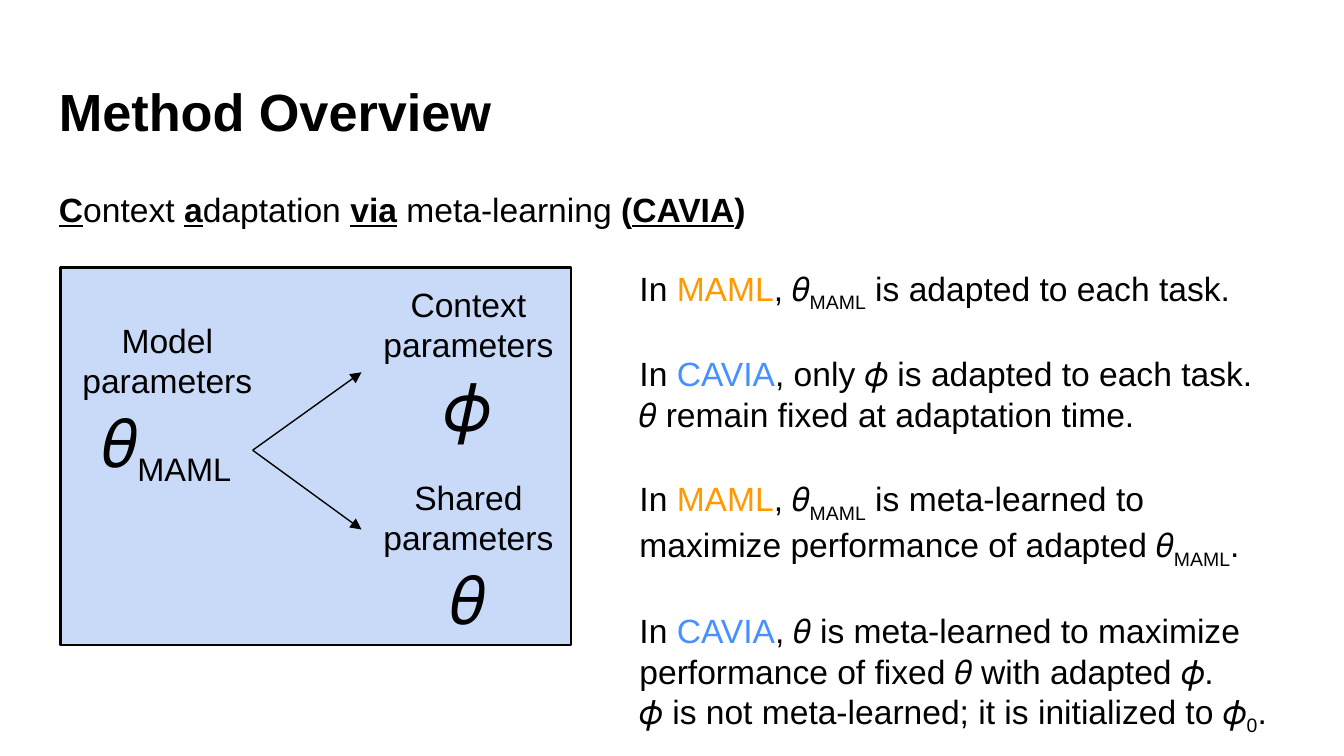
from pptx import Presentation
from pptx.dml.color import RGBColor
from pptx.enum.shapes import MSO_CONNECTOR, MSO_SHAPE
from pptx.enum.text import PP_ALIGN
from pptx.oxml.ns import qn
from pptx.util import Inches, Pt
from lxml.etree import SubElement

BLACK, PANEL_BLUE, ORANGE, BLUE = "000000", "C9DAF8", "FF9900", "4790FF"


def rgb(hex_color):
    return RGBColor.from_string(hex_color)


class SlideBuilder:
    font_name = "Arial"
    body_size = 18

    def __init__(self, slide):
        self.slide = slide

    def panel(self, left, top, width, height):
        panel = self.slide.shapes.add_shape(
            MSO_SHAPE.RECTANGLE, Inches(left), Inches(top), Inches(width), Inches(height))
        panel.shadow.inherit = False
        panel.fill.solid()
        panel.fill.fore_color.rgb = rgb(PANEL_BLUE)
        panel.line.color.rgb = rgb(BLACK)
        panel.line.width = Pt(1.5)

    def arrow(self, start, end):
        arrow = self.slide.shapes.add_connector(
            MSO_CONNECTOR.STRAIGHT, *(Inches(length) for length in start + end))
        arrow.line.color.rgb = rgb(BLACK)
        arrow.line.width = Pt(0.75)
        SubElement(arrow.line._get_or_add_ln(), qn("a:tailEnd"), type="triangle")
        SubElement(arrow._element.spPr, qn("a:effectLst"))

    def run(self, paragraph, text, size=body_size, color=BLACK, bold=False,
            underline=False, subscript=False):
        run = paragraph.add_run()
        run.text = text
        font = run.font
        font.name, font.size = self.font_name, Pt(size)
        font.bold, font.underline = bold, underline
        font.color.rgb = rgb(color)
        if subscript:
            run._r.get_or_add_rPr().set("baseline", "-25000")

    def text(self, left, top, width, height, paragraphs, align=PP_ALIGN.LEFT,
             line_spacing=None, gap_before=()):
        """Add paragraphs of (text, style) runs; gap_before lists those set apart by a line."""
        box = self.slide.shapes.add_textbox(
            Inches(left), Inches(top), Inches(width), Inches(height))
        frame = box.text_frame
        frame.word_wrap = True
        frame.margin_left = frame.margin_right = Inches(0.1)
        frame.margin_top = frame.margin_bottom = Inches(0.1)
        for index, runs in enumerate(paragraphs):
            paragraph = frame.paragraphs[0] if index == 0 else frame.add_paragraph()
            paragraph.alignment = align
            if line_spacing:
                paragraph.line_spacing = line_spacing
            if index in gap_before:
                paragraph.space_before = Pt(21.5)
            for text, style in runs:
                self.run(paragraph, text, **style)

    def parameter(self, left, top, label, symbol, subscript=()):
        runs = [(label + " parameters ", PLAIN), (symbol, {"size": 36}), *subscript]
        self.text(left, top, 1.59, 0.84, [runs], PP_ALIGN.CENTER)


PLAIN = {}
BOLD = {"bold": True}
KEY = {"bold": True, "underline": True}
SUB = {"subscript": True}
MAML = [("In ", PLAIN), ("MAML", {"color": ORANGE}), (", 𝜃", PLAIN), ("MAML", SUB)]
CAVIA = [("In ", PLAIN), ("CAVIA", {"color": BLUE})]

ADAPTATION = [
    MAML + [(" is adapted to each task.", PLAIN)],
    CAVIA + [(", only 𝜙 is adapted to each task.", PLAIN)],
    [("𝜃 remain fixed at adaptation time.", PLAIN)],
]
META_LEARNING = [
    MAML + [(" is meta-learned to maximize performance of adapted 𝜃", PLAIN),
            ("MAML", SUB), (".", PLAIN)],
    CAVIA + [(", 𝜃 is meta-learned to maximize performance of fixed 𝜃 with adapted 𝜙.", PLAIN)],
    [("𝜙 is not meta-learned; it is initialized to 𝜙", PLAIN), ("0", SUB), (".", PLAIN)],
]
FULL_NAME = [
    ("C", KEY), ("ontext ", PLAIN), ("a", KEY), ("daptation ", PLAIN), ("via", KEY),
    (" meta-learning ", PLAIN), ("(", BOLD), ("CAVIA", KEY), (")", BOLD),
]


def main():
    presentation = Presentation()
    presentation.slide_width = Inches(10)
    presentation.slide_height = Inches(10 * 9 / 16)
    builder = SlideBuilder(presentation.slides.add_slide(presentation.slide_layouts[6]))

    builder.panel(0.45, 1.99, 3.8, 2.81)
    builder.text(0.34, 0.49, 9.32, 0.63, [[("Method Overview", {"size": 28, "bold": True})]])
    builder.text(0.34, 1.26, 9.32, 3.74, [FULL_NAME], line_spacing=1.15)

    builder.parameter(0.45, 2.28, "Model", "𝜃", [("MAML", {"size": 30, "subscript": True})])
    for arrow_end in (2.77, 3.94):
        builder.arrow((1.88, 3.35), (2.69, arrow_end))
    builder.parameter(2.69, 3.45, "Shared", "𝜃")
    builder.parameter(2.69, 2.01, "Context", "𝜙")

    for top, statements in ((1.89, ADAPTATION), (3.46, META_LEARNING)):
        builder.text(4.66, top, 5, 1.2, statements, gap_before=(1,))

    presentation.save("out.pptx")


if __name__ == "__main__":
    main()
